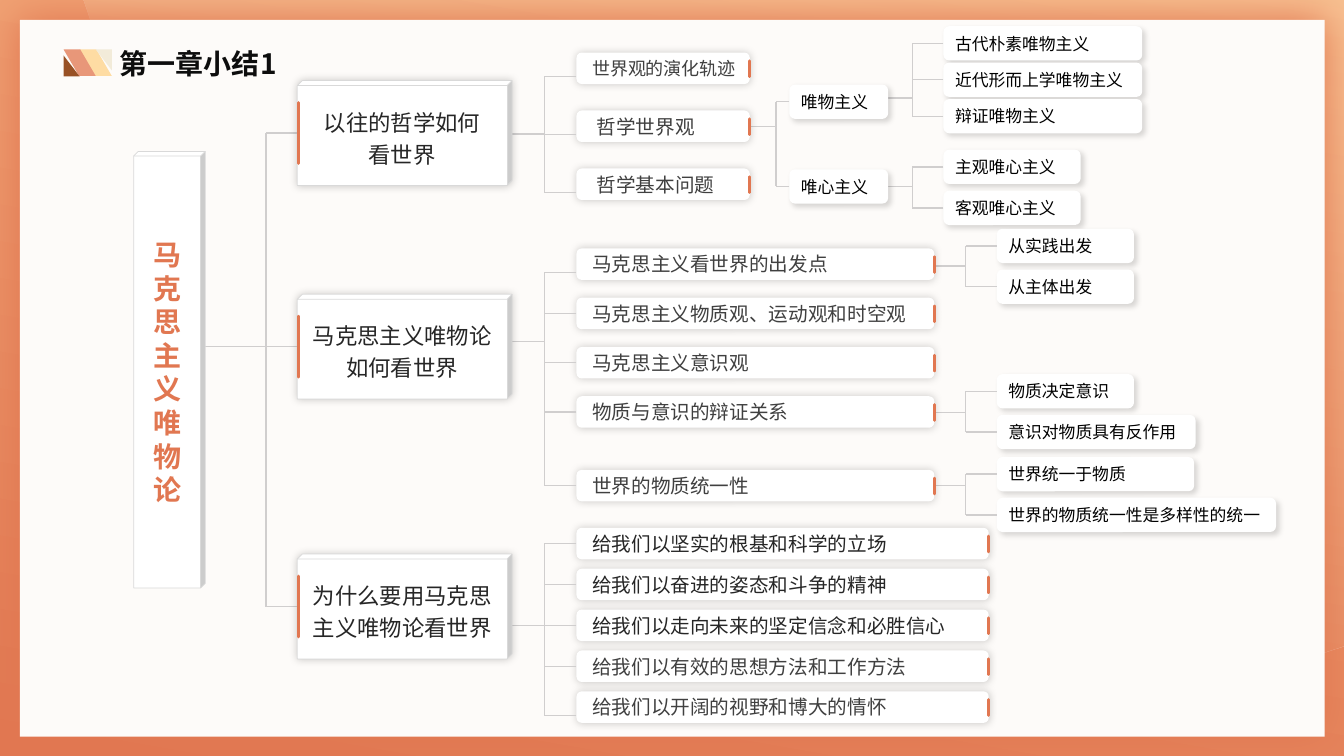
from dataclasses import dataclass

from lxml.etree import SubElement
from pptx import Presentation
from pptx.dml.color import RGBColor
from pptx.enum.shapes import MSO_CONNECTOR as Connector, MSO_SHAPE as Preset
from pptx.enum.text import MSO_ANCHOR as Anchor, PP_ALIGN as Align
from pptx.oxml.ns import qn
from pptx.util import Pt


@dataclass(frozen=True)
class Theme:
    font: str = "Noto Sans CJK SC"
    accent: str = "E17751"
    glow: str = "F4AD7D"
    cream: str = "FDD5A6"
    paper: str = "FDFBF9"
    white: str = "FFFFFF"
    link: str = "D0CECE"
    edge: str = "D9D9D9"
    title: str = "0D0D0D"
    dark: str = "262626"
    grey: str = "404040"
    black: str = "000000"
    heading_size: float = 20
    card_size: float = 16
    tag_size: float = 14
    tight_size: float = 12.9
    leaf_size: float = 12
    # colour, opacity %, blur, distance, direction
    frame_shadow: tuple = ("E17751", 100, 30, 0, 0)
    card_shadow: tuple = ("000000", 20, 6, 0, 315)
    leaf_shadow: tuple = ("000000", 15, 4, 3, 45)


class MindMap:
    LEAF_HEIGHT = 24.5
    TAG_LEFT, TAG_HEIGHT = 411.8, 22.5

    def __init__(self, slide, theme):
        self.shapes, self.theme = slide.shapes, theme

    def shadow(self, shape, style):
        shape.shadow.inherit = False
        if style:
            color, opacity, blur, distance, direction = style
            effects = shape._element.spPr.find(qn("a:effectLst"))
            outer = SubElement(effects, qn("a:outerShdw"), blurRad=str(Pt(blur)), dist=str(Pt(distance)),
                               dir=str(direction * 60000), algn="ctr", rotWithShape="0")
            rgb = SubElement(outer, qn("a:srgbClr"), val=color)
            SubElement(rgb, qn("a:alpha"), val=str(opacity * 1000))

    def gradient(self, shape, start, end, end_opacity=100):
        shape.fill.gradient()
        shape.fill.gradient_angle = 80
        for stop, color, place in zip(shape.fill.gradient_stops, (start, end), (0, 1)):
            stop.color.rgb, stop.position = RGBColor.from_string(color), place
        last = list(shape._element.spPr.iter(qn("a:srgbClr")))[-1]
        SubElement(last, qn("a:alpha"), val=str(end_opacity * 1000))
        shape.line.fill.background()
        self.shadow(shape, None)

    def shape(self, preset, left, top, width, height, fill, shadow=None, edge=None, adjust=None, flip=""):
        shape = self.shapes.add_shape(preset, Pt(left), Pt(top), Pt(width), Pt(height))
        shape.fill.solid()
        shape.fill.fore_color.rgb = RGBColor.from_string(fill)
        if edge:
            shape.line.color.rgb = RGBColor.from_string(edge)
            shape.line.width = Pt(0.5)
        else:
            shape.line.fill.background()
        if adjust:
            shape.adjustments[0] = adjust
        for axis in flip:
            shape._element.spPr.find(qn("a:xfrm")).set("flip" + axis, "1")
        self.shadow(shape, shadow)
        return shape

    def label(self, shape, lines, size, color, align=Align.LEFT, bold=False, spacing=None, indent=0):
        frame = shape.text_frame
        frame.word_wrap, frame.vertical_anchor = True, Anchor.MIDDLE
        for number, line in enumerate(lines):
            paragraph = frame.add_paragraph() if number else frame.paragraphs[0]
            paragraph.text, paragraph.alignment = line, align
            if spacing:
                paragraph.line_spacing = spacing
            if indent:
                paragraph._p.get_or_add_pPr().set("marL", str(Pt(indent)))
            font = paragraph.font
            font.name, font.size, font.bold = self.theme.font, Pt(size), bold
            font.color.rgb = RGBColor.from_string(color)
            for run in paragraph.runs:
                SubElement(run._r.get_or_add_rPr(), qn("a:ea"), typeface=self.theme.font)

    def line(self, x1, y1, x2, y2, color=None, width=1):
        line = self.shapes.add_connector(Connector.STRAIGHT, Pt(x1), Pt(y1), Pt(x2), Pt(y2))
        line.line.color.rgb = RGBColor.from_string(color or self.theme.link)
        line.line.width = Pt(width)
        SubElement(line._element.spPr, qn("a:effectLst"))
        return line

    def accent(self, x, middle, length):
        bar = self.line(x, middle - length / 2, x, middle + length / 2, self.theme.accent, 2)
        bar._element.spPr.find(qn("a:ln")).set("cap", "rnd")

    def bracket(self, trunk_left, trunk_y, spine, right, branches):
        """Branches are (y, box) pairs; a box is joined at its left side."""
        heights = [y for y, _ in branches]
        self.line(spine, min(heights), spine, max(heights))
        self.line(spine, trunk_y, trunk_left, trunk_y)
        for y, box in branches:
            branch = self.line(right, y, spine, y)
            if box is not None:
                branch.begin_connect(box, 1)

    def leaf(self, left, middle, width, text):
        box = self.shape(Preset.ROUNDED_RECTANGLE, left, middle - self.LEAF_HEIGHT / 2, width,
                         self.LEAF_HEIGHT, self.theme.white, self.theme.leaf_shadow)
        self.label(box, [text], self.theme.leaf_size, self.theme.black)
        return box

    def leaves(self, left, trunk_left, trunk_y, spine, items):
        branches = [(middle, self.leaf(left, middle, width, text)) for middle, width, text in items]
        self.bracket(trunk_left, trunk_y, spine, left, branches)

    def tag(self, middle, width, text, size, color, indent):
        box = self.shape(Preset.ROUNDED_RECTANGLE, self.TAG_LEFT, middle - self.TAG_HEIGHT / 2, width,
                         self.TAG_HEIGHT, self.theme.white, self.theme.card_shadow)
        self.label(box, [text], size, color, indent=indent)
        self.accent(self.TAG_LEFT + width, middle + 0.3, 11.3)
        return box

    def tags(self, width, trunk_left, trunk_y, items):
        """Items are (middle, branch drop, text, size, colour, indent)."""
        branches = []
        for middle, drop, text, size, color, indent in items:
            box = self.tag(middle, width, text, size, color, indent)
            branches.append((middle + drop, None if drop else box))
        self.bracket(trunk_left, trunk_y, 388.8, self.TAG_LEFT, branches)

    def card(self, top, lines):
        box = self.shape(Preset.CUBE, 212.4, top, 153.4, 74.9, self.theme.white,
                         self.theme.card_shadow, self.theme.edge, 0.048)
        self.label(box, lines, self.theme.card_size, self.theme.dark, Align.CENTER, spacing=1.2)
        self.accent(213.1, top + 37.4, 43.5)


def bezier(start, control1, control2, end, steps=24):
    for t in (step / steps for step in range(1, steps + 1)):
        weights = ((1 - t) ** 3, 3 * t * (1 - t) ** 2, 3 * t * t * (1 - t), t ** 3)
        yield tuple(sum(w * p[axis] for w, p in zip(weights, (start, control1, control2, end)))
                    for axis in (0, 1))


def main():
    theme = Theme()
    deck = Presentation()
    deck.slide_width, deck.slide_height = Pt(960), Pt(540)
    board = MindMap(deck.slides.add_slide(deck.slide_layouts[6]), theme)

    # Backdrop and paper
    backdrop = board.shape(Preset.RECTANGLE, 0, 0, 960, 540, theme.accent)
    board.gradient(backdrop, theme.accent, theme.glow)
    corner, bottom, tail = (946.8, 465), (735.8, 496.8), (70.6, 31.7)
    outline = [(960, 0), (960, 460.8), corner,
               *bezier(corner, (879.8, 486), (809.3, 496.8), bottom),
               *bezier(bottom, (429.8, 496.8), (169.9, 303), tail)]
    builder = board.shapes.build_freeform(Pt(59.8), 0)
    builder.add_line_segments([(Pt(x), Pt(y)) for x, y in outline])
    board.gradient(builder.convert_to_shape(), theme.accent, theme.cream, 50)
    board.shape(Preset.RECTANGLE, 14.2, 14.2, 932, 512, theme.paper, theme.frame_shadow)

    # Heading and its ornament
    heading = board.shapes.add_textbox(Pt(78.5), Pt(29.5), Pt(162.7), Pt(31.5))
    board.label(heading, ["第一章小结1"], theme.heading_size, theme.title, bold=True)
    for left, slant, triangle_left, triangle_top, triangle, flip in (
            (56.9, "FEDCA3", 68.4, 35.3, "F2EBD9", "HV"),
            (45.4, "E89779", 45.4, 39.6, "985125", "")):
        board.shape(Preset.PARALLELOGRAM, left, 35.3, 23, 19, slant, adjust=0.585, flip="H")
        board.shape(Preset.RIGHT_TRIANGLE, triangle_left, triangle_top, 11.5, 15, triangle, flip=flip)

    # Outermost leaves, drawn first so that trunks run beneath their parents
    board.leaves(673.9, 591.8, 70, 651.6, [
        (31, 142, "古代朴素唯物主义"), (57, 142, "近代形而上学唯物主义"), (83, 142, "辩证唯物主义")])
    board.leaves(673.9, 591.8, 133.2, 651.6, [(119.2, 98, "主观唯心主义"), (148.5, 98, "客观唯心主义")])
    board.leaves(712, 630.7, 190, 689.8, [(175.7, 98, "从实践出发"), (204.8, 98, "从主体出发")])
    board.leaves(712, 630.7, 294.5, 689.8, [(279.5, 98, "物质决定意识"), (308.6, 142, "意识对物质具有反作用")])
    board.leaves(712, 630.7, 347, 689.8, [
        (338.7, 141, "世界统一于物质"), (367.8, 199.5, "世界的物质统一性是多样性的统一")])
    board.leaves(563.8, 494.6, 90.5, 554.4, [(72.7, 70.6, "唯物主义"), (133.2, 70.6, "唯心主义")])

    # Tags of the three questions
    board.tags(123.8, 327.6, 95.8, [
        (48.8, 5.8, "世界观的演化轨迹", theme.tight_size, theme.grey, 3),
        (90.2, 5.8, "哲学世界观", theme.tag_size, theme.grey, 6.2),
        (131.6, 5.8, "哲学基本问题", theme.tag_size, theme.grey, 6.2)])
    viewpoints = ["马克思主义看世界的出发点", "马克思主义物质观、运动观和时空观",
                  "马克思主义意识观", "物质与意识的辩证关系"]
    board.tags(255.6, 327.6, 244.1, [
        *((188.7 + 35.2 * row, 0 if row else 6, text, theme.tag_size, theme.grey, 3)
          for row, text in enumerate(viewpoints)),
        (346.9, 0, "世界的物质统一性", theme.tag_size, theme.grey, 3)])
    reasons = ["给我们以坚实的根基和科学的立场", "给我们以奋进的姿态和斗争的精神",
               "给我们以走向未来的坚定信念和必胜信心", "给我们以有效的思想方法和工作方法",
               "给我们以开阔的视野和博大的情怀"]
    board.tags(294.5, 354.2, 446.7, [
        (388.3 + 29.2 * row, 6 if row == 4 else 0, text, theme.tag_size,
         theme.dark if row < 3 else theme.grey, 3) for row, text in enumerate(reasons)])

    # Root and question cards
    board.bracket(140.4, 247.7, 190.1, 212.4, [(y, None) for y in (95, 247.7, 433.4)])
    root = board.shape(Preset.CUBE, 95.5, 108.2, 51.1, 311.8, theme.white, edge=theme.edge, adjust=0.063)
    board.label(root, ["马克思主义唯物论"], theme.heading_size, theme.accent, Align.CENTER, bold=True)
    board.card(57.6, ["以往的哲学如何", "看世界"])
    board.card(210.2, ["马克思主义唯物论如何看世界"])
    board.card(395.8, ["为什么要用马克思主义唯物论看世界"])

    deck.save("out.pptx")


if __name__ == "__main__":
    main()
